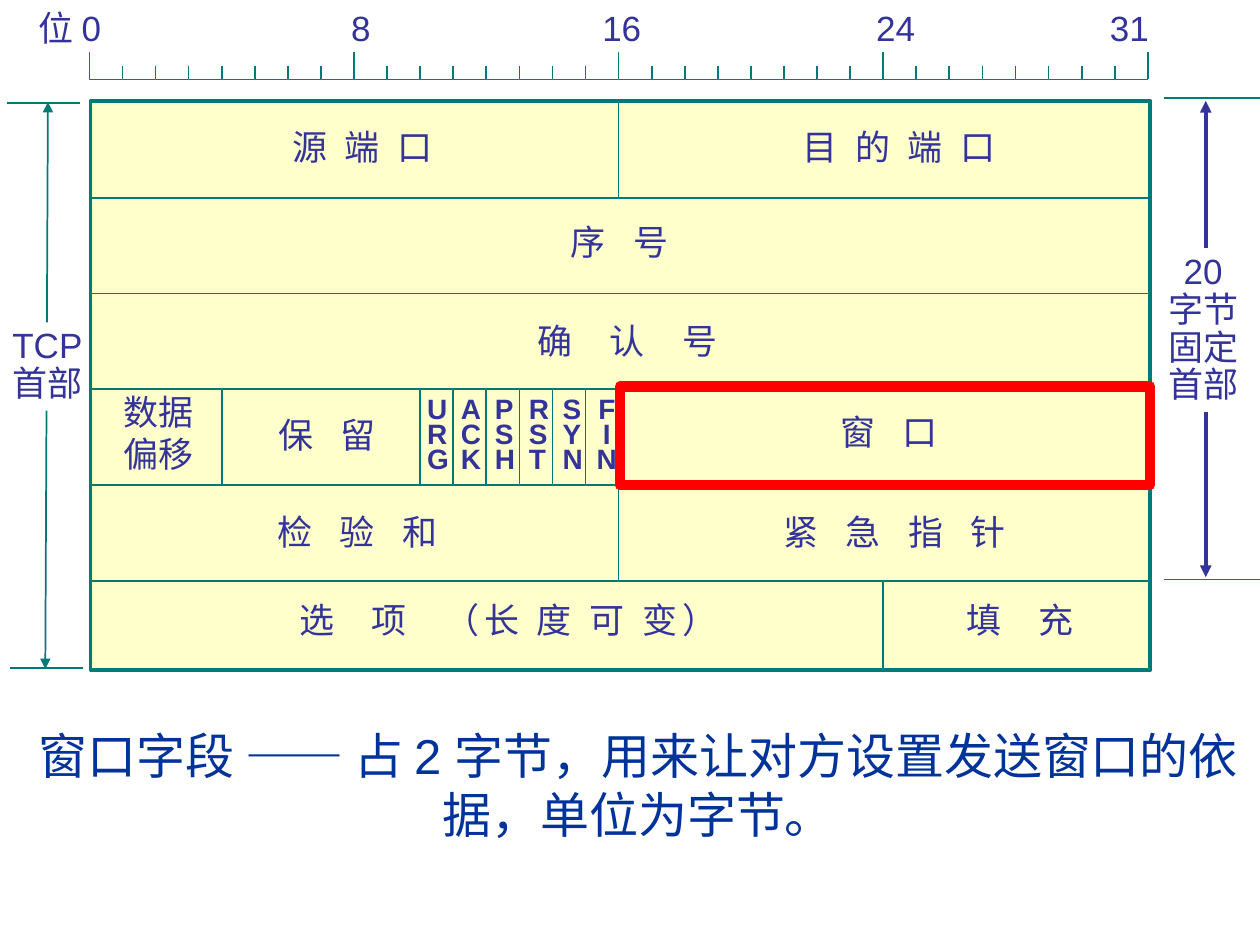
from lxml import etree
from pptx import Presentation
from pptx.dml.color import RGBColor
from pptx.enum import shapes, text
from pptx.oxml import ns
from pptx.util import Pt

TEAL = RGBColor(0x00, 0x7A, 0x77)
INDIGO = RGBColor(0x33, 0x33, 0x99)
NAVY = RGBColor(0x00, 0x33, 0x99)
CREAM = RGBColor(0xFF, 0xFF, 0xCC)
RED = RGBColor(0xFF, 0x00, 0x00)
WHITE = RGBColor(0xFF, 0xFF, 0xFF)
LEFT, CENTER = text.PP_ALIGN.LEFT, text.PP_ALIGN.CENTER

# Content
TITLE = "窗口字段 —— 占 2 字节，用来让对方设置发送窗口的依据，单位为字节。"
RULER_TEXT = "位 0\t8\t16\t24\t31"
RULER_TABS = [178.5, 322, 478.5, 612]
# left, top, width, runs of (text, letter spacing)
FIELDS = [
    (159.8, 68.4, 92.2, [("源 端 口", 2.8)]),
    (451.4, 68.4, 121.7, [("目 的 端 口", 2.8)]),
    (319, 122.4, 108.7, [("序 号", 5.6)]),
    (300.2, 179.3, 144.7, [("确 认 号", 8.4)]),
    (63.4, 219.6, 54.7, [("数据\n偏移", 0)]),
    (151.9, 232.6, 67.7, [("保 留", 5.6)]),
    (473, 231.1, 67.7, [("窗 口", 5.6)]),
    (151.2, 288, 101.5, [("检 验 和", 5.6)]),
    (440.6, 288, 134.6, [("紧 急 指 针", 5.6)]),
    (164.2, 338.4, 252, [("选 项 ", 8.4), ("（长 度 可 变）", 2.8)]),
    (545, 338.4, 98.6, [("填 充", 8.4)]),
]
FLAGS = ["URG", "ACK", "PSH", "RST", "SYN", "FIN"]
# row, bits where a field starts inside that row
DIVIDERS = [(0, [16]), (3, [4, *range(10, 17)]), (4, [16]), (5, [24])]
# left, top, width, height, text, alignment
SIDE_LABELS = [
    (0, 184.3, 54.7, 50.4, "TCP\n首部", LEFT),
    (660.2, 141.8, 54.7, 93.6, "20\n字节\n固定\n首部", CENTER),
]
# x1, y1, x2, y2, colour, width
ARROWS = [
    (27.4, 58.3, 25.9, 382.3, TEAL, 1),
    (689, 57.6, 689, 329.8, INDIGO, 2.25),
]
EXTENT_LINES = [(665.3, 56.2, 720), (665.3, 331.2, 720),
                (4.3, 59, 46), (5.8, 381.6, 47.5)]

# Geometry
FRAME_LEFT, FRAME_TOP, FRAME_WIDTH, FRAME_HEIGHT = 51.8, 57.6, 605.5, 325.4
FRAME_RIGHT, FRAME_BOTTOM = FRAME_LEFT + FRAME_WIDTH, FRAME_TOP + FRAME_HEIGHT
ROW_LINES = [113 + 54.75 * row for row in range(5)]
ROW_EDGES = [FRAME_TOP, *ROW_LINES, FRAME_BOTTOM]
BIT_WIDTH, RULER_LEFT, RULER_Y = 18.9, 51.1, 45.4

presentation = Presentation()
presentation.slide_width, presentation.slide_height = Pt(720), Pt(540)
slide = presentation.slides.add_slide(presentation.slide_layouts[5])


def bit_x(bit):
    return RULER_LEFT + BIT_WIDTH * bit


def add_line(x1, y1, x2, y2, color=TEAL, width=1, arrows=False):
    line = slide.shapes.add_connector(
        shapes.MSO_CONNECTOR.STRAIGHT, Pt(x1), Pt(y1), Pt(x2), Pt(y2))
    line.line.color.rgb = color
    line.line.width = Pt(width)
    properties = line._element.spPr
    if arrows:
        for end in ("a:headEnd", "a:tailEnd"):
            etree.SubElement(properties.find(ns.qn("a:ln")), ns.qn(end), type="triangle")
    etree.SubElement(properties, ns.qn("a:effectLst"))


def add_rectangle(left, top, width, height, fill=None, line=None, line_width=1):
    shape = slide.shapes.add_shape(
        shapes.MSO_SHAPE.RECTANGLE, Pt(left), Pt(top), Pt(width), Pt(height))
    shape.shadow.inherit = False
    if fill is None:
        shape.fill.background()
    else:
        shape.fill.solid()
        shape.fill.fore_color.rgb = fill
    if line is None:
        shape.line.fill.background()
    else:
        shape.line.color.rgb = line
        shape.line.width = Pt(line_width)
    return shape


def add_text_box(left, top, width, height):
    return slide.shapes.add_textbox(Pt(left), Pt(top), Pt(width), Pt(height))


def format_text(shape, size=20, color=INDIGO, align=LEFT, spacing=None, bold=False):
    frame = shape.text_frame
    frame.vertical_anchor = text.MSO_ANCHOR.TOP
    frame.word_wrap = align == LEFT
    if align == LEFT:
        frame.margin_right = 0
    for paragraph in frame.paragraphs:
        paragraph.alignment = align
        paragraph.line_spacing = spacing
        for run in paragraph.runs:
            run.font.name, run.font.size, run.font.bold = "Arial", Pt(size), bold
            run.font.color.rgb = color


# Title
title = slide.shapes.title
title.left, title.top, title.width, title.height = Pt(14.4), Pt(396.7), Pt(700.6), Pt(88.6)
title.text_frame.text = TITLE
format_text(title, 28, NAVY, CENTER)
title.text_frame.word_wrap = True
title.text_frame.vertical_anchor = text.MSO_ANCHOR.BOTTOM

# Side arrows and labels
for arrow in ARROWS:
    add_line(*arrow, arrows=True)
for left, top, width, height, label, align in SIDE_LABELS:
    shape = add_rectangle(left, top, width, height, WHITE)
    shape.text_frame.text = label
    format_text(shape, align=align, spacing=0.9)
for x1, y, x2 in EXTENT_LINES:
    add_line(x1, y, x2, y)

# Header frame, rows and field dividers
add_rectangle(FRAME_LEFT, FRAME_TOP, FRAME_WIDTH, FRAME_HEIGHT, CREAM, TEAL, 2)
for y in ROW_LINES:
    add_line(FRAME_LEFT, y, FRAME_RIGHT, y)
for row, bits in DIVIDERS:
    for bit in bits:
        add_line(bit_x(bit), ROW_EDGES[row], bit_x(bit), ROW_EDGES[row + 1])

# Field names
for left, top, width, runs in FIELDS:
    box = add_text_box(left, top, width, 31)
    box.text_frame.text = runs[0][0]
    for extra, _ in runs[1:]:
        box.text_frame.paragraphs[0].add_run().text = extra
    format_text(box)
    for run, (_, gap) in zip(box.text_frame.paragraphs[0].runs, runs):
        if gap:
            run._r.get_or_add_rPr().set("spc", str(round(gap * 100)))

# One-bit flags
for index, flag in enumerate(FLAGS):
    box = add_text_box(237 + 19.35 * index, 224.6, 26, 50.4)
    box.text_frame.text = "\n".join(flag)
    format_text(box, 16, align=CENTER if flag == "FIN" else LEFT, spacing=0.75, bold=True)

# Bit ruler
add_line(RULER_LEFT, RULER_Y, bit_x(32), RULER_Y)
for bit in range(33):
    add_line(bit_x(bit), 29.5 if bit % 8 == 0 else 37.5, bit_x(bit), RULER_Y)
ruler = add_text_box(15.1, 0, 650.9, 31)
ruler.text_frame.text = RULER_TEXT
tab_list = etree.SubElement(
    ruler.text_frame.paragraphs[0]._p.get_or_add_pPr(), ns.qn("a:tabLst"))
for position in RULER_TABS:
    etree.SubElement(tab_list, ns.qn("a:tab"), pos=str(int(Pt(position))), algn="l")
format_text(ruler)

# Highlight on the window field
add_rectangle(354.2, 221, 303.1, 56.2, line=RED, line_width=6)

presentation.save("out.pptx")
